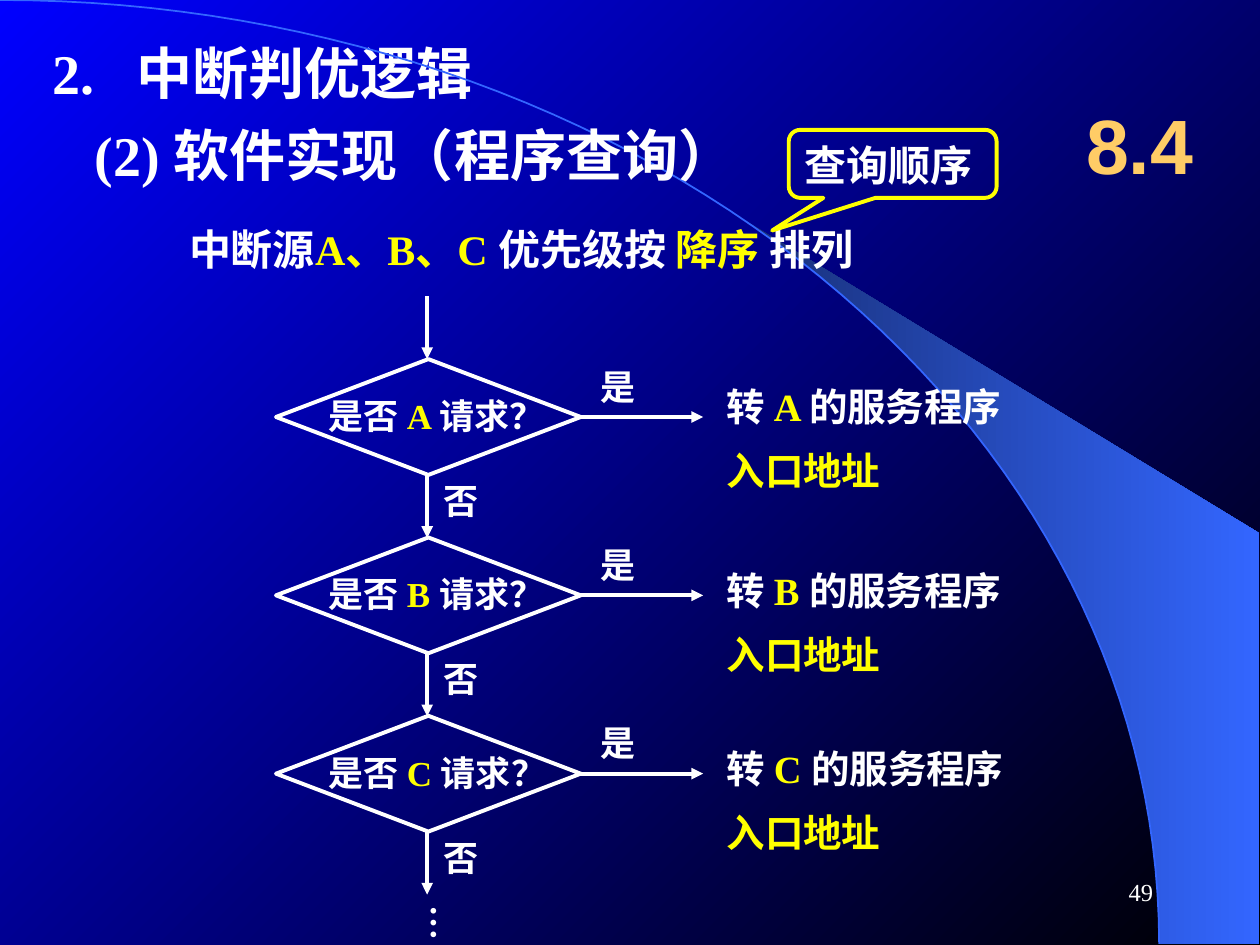
import math

import pptx
import pptx.dml.color
import pptx.enum.shapes
import pptx.enum.text
import pptx.oxml.ns
import pptx.util
from lxml import etree

Pt = pptx.util.Pt
RGBColor = pptx.dml.color.RGBColor
SHAPE = pptx.enum.shapes.MSO_SHAPE
ALIGN = pptx.enum.text.PP_ALIGN
ANCHOR = pptx.enum.text.MSO_ANCHOR
qn = pptx.oxml.ns.qn

WHITE = RGBColor(0xFF, 0xFF, 0xFF)
YELLOW = RGBColor(0xFF, 0xFF, 0x00)
GOLD = RGBColor(0xFF, 0xCC, 0x66)
BLUE = RGBColor(0x00, 0x00, 0xFF)
BLACK = RGBColor(0x00, 0x00, 0x00)
NAVY = RGBColor(0x18, 0x2F, 0x76)
SKY = RGBColor(0x33, 0x66, 0xFF)
SERIF = "Times New Roman"

# Content
TITLE = "2.\t中断判优逻辑"
SUBTITLE = "(2) 软件实现（程序查询）"
PRIORITY = [("中断源", WHITE), ("A、B、C ", YELLOW), ("优先级按 ", WHITE),
            ("降序 ", YELLOW), ("排列", WHITE)]
CALLOUT = "查询顺序"
SECTION = "8.4"
PAGE_NUMBER = "49"
SOURCES = [("A", 14.4), ("B", 17.5), ("C", 17.5)]  # name, drop of the service text
YES, NO, MORE = "是", "否", "…"
ENTRY = "入口地址"

# Flow chart grid, in points
DIAMOND_LEFT, DIAMOND_WIDTH, DIAMOND_HEIGHT = 157.7, 174.2, 66.2
FIRST_TOP, ROW_STEP, ARROW_DROP = 205.2, 101.9, 36
AXIS = 244.1
BRANCH_START, BRANCH_END = 329.8, 401.8
SERVICE_LEFT = 408.2
# The background arc is a quarter of an ellipse
ARC_WIDTH, ARC_HEIGHT = 662.4, 539.3
SLIDE_RIGHT, WEDGE_RIGHT_TOP, WEDGE_ANGLE = 719.3, 304.6, 39.7


def arc_points(start, steps=60):
    angles = [math.radians(start + (90 - start) * i / steps) for i in range(steps + 1)]
    return [(ARC_WIDTH * math.sin(a), ARC_HEIGHT * (1 - math.cos(a))) for a in angles]


def add_freeform(slide, points, close):
    points = [(Pt(x), Pt(y)) for x, y in points]
    builder = slide.shapes.build_freeform(*points[0], scale=1.0)
    builder.add_line_segments(points[1:], close=close)
    shape = builder.convert_to_shape()
    shape.shadow.inherit = False
    return shape


def set_gradient(fill, colors, angle):
    fill.gradient()
    fill.gradient_angle = angle
    for stop, position, color in zip(fill.gradient_stops, (0, 1), colors):
        stop.position = position
        stop.color.rgb = color


def write(shape, lines, size, bold=True, font=SERIF, insets=(7.2, 3.6, 7.2, 3.6),
          anchor=ANCHOR.TOP, align=ALIGN.LEFT, wrap=True, line_spacing=None,
          space_before=0, tab=None):
    """Each line is a list of (text, color) runs."""
    frame = shape.text_frame
    frame.auto_size = pptx.enum.text.MSO_AUTO_SIZE.NONE
    frame.word_wrap = wrap
    frame.vertical_anchor = anchor
    (frame.margin_left, frame.margin_top,
     frame.margin_right, frame.margin_bottom) = map(Pt, insets)
    for index, runs in enumerate(lines):
        paragraph = frame.add_paragraph() if index else frame.paragraphs[0]
        paragraph.alignment = align
        if line_spacing:
            paragraph.line_spacing = line_spacing
        if index:
            paragraph.space_before = Pt(space_before)
        if tab:
            tabs = etree.SubElement(paragraph._p.get_or_add_pPr(), qn("a:tabLst"))
            etree.SubElement(tabs, qn("a:tab"), pos=str(Pt(tab)), algn="l")
        paragraph.font.name = font
        paragraph.font.size = Pt(size)
        paragraph.font.bold = bold
        for text, color in runs:
            run = paragraph.add_run()
            run.text = text
            run.font.color.rgb = color


def add_text(slide, box, lines, size, **options):
    shape = slide.shapes.add_textbox(*map(Pt, box))
    write(shape, lines, size, **options)
    return shape


def add_outline(slide, kind, box, color):
    shape = slide.shapes.add_shape(kind, *map(Pt, box))
    shape.shadow.inherit = False
    shape.fill.background()
    shape.line.color.rgb = color
    shape.line.width = Pt(2.25)
    return shape


def add_arrow(slide, start, end):
    arrow = slide.shapes.add_connector(
        pptx.enum.shapes.MSO_CONNECTOR.STRAIGHT, *map(Pt, start + end))
    arrow.line.color.rgb = WHITE
    arrow.line.width = Pt(2.25)
    etree.SubElement(arrow.line._get_or_add_ln(), qn("a:tailEnd"), type="triangle")
    etree.SubElement(arrow._element.spPr, qn("a:effectLst"))


def add_background(slide):
    set_gradient(slide.background.fill, (BLUE, BLACK), 315)
    wedge = add_freeform(slide, arc_points(WEDGE_ANGLE) + [
        (SLIDE_RIGHT, ARC_HEIGHT), (SLIDE_RIGHT, WEDGE_RIGHT_TOP)], close=True)
    set_gradient(wedge.fill, (NAVY, SKY), 0)
    wedge.line.fill.background()
    arc = add_freeform(slide, arc_points(0), close=False)
    arc.fill.background()
    arc.line.color.rgb = SKY
    arc.line.width = Pt(1)


def add_headings(slide):
    heading = dict(insets=(0, 3.6, 0, 3.6), anchor=ANCHOR.MIDDLE, wrap=False)
    title = slide.shapes.title
    title.left, title.top, title.width, title.height = map(Pt, (30, 20.2, 306, 41.8))
    write(title, [[(TITLE, WHITE)]], 32, tab=48, **heading)
    add_text(slide, (54, 67, 414, 41.8), [[(SUBTITLE, WHITE)]], 32, **heading)
    add_text(slide, (108, 121, 414, 41.8), [PRIORITY], 24, **heading)
    add_text(slide, (606.2, 49, 90, 66.2), [[(SECTION, GOLD)]], 44, font="Arial",
             anchor=ANCHOR.MIDDLE, align=ALIGN.CENTER)
    callout = add_outline(slide, SHAPE.ROUNDED_RECTANGULAR_CALLOUT,
                          (450.7, 74.2, 118.8, 38.9), YELLOW)
    for index, value in enumerate((-0.58, 0.98, 0.17)):
        callout.adjustments[index] = value
    write(callout, [[(CALLOUT, WHITE)]], 24)
    add_text(slide, (516.2, 491.8, 149.8, 36), [[(PAGE_NUMBER, WHITE)]], 14, bold=False,
             anchor=ANCHOR.MIDDLE, align=ALIGN.RIGHT)


def add_flow_chart(slide):
    add_arrow(slide, (AXIS, FIRST_TOP - ARROW_DROP), (AXIS, FIRST_TOP))
    for row, (name, service_drop) in enumerate(SOURCES):
        top = FIRST_TOP + row * ROW_STEP
        middle, bottom = top + DIAMOND_HEIGHT / 2, top + DIAMOND_HEIGHT
        # Question
        add_outline(slide, SHAPE.DIAMOND,
                    (DIAMOND_LEFT, top, DIAMOND_WIDTH, DIAMOND_HEIGHT), WHITE)
        add_text(slide, (187.9, top + 20.2, 155, 28),
                 [[("是否 ", WHITE), (name + " ", YELLOW), ("请求？", WHITE)]], 20,
                 insets=(0, 0, 7.2, 3.6))
        # Yes branch
        add_arrow(slide, (BRANCH_START, middle), (BRANCH_END, middle))
        add_text(slide, (336.2, top, 48.2, 31.7), [[(YES, WHITE)]], 20)
        add_text(slide, (SERVICE_LEFT, top + service_drop, 275.8, 66.2),
                 [[("转 ", WHITE), (name + " ", YELLOW), ("的服务程序", WHITE)],
                  [(ENTRY, YELLOW)]], 22, line_spacing=0.85, space_before=13.8)
        # No branch
        add_arrow(slide, (AXIS, bottom), (AXIS, bottom + ARROW_DROP))
        add_text(slide, (246.2, bottom - 1, 48.2, 31.7), [[(NO, WHITE)]], 20)
    more = add_text(slide, (231.8, 510.5, 38.2, 27.4), [[(MORE, WHITE)]], 20,
                    insets=(3.6, 7.2, 3.6, 7.2), wrap=False)
    more.text_frame._txBody.bodyPr.set("vert", "eaVert")


def main():
    presentation = pptx.Presentation()
    presentation.slide_width, presentation.slide_height = Pt(720), Pt(540)
    slide = presentation.slides.add_slide(presentation.slide_layouts[5])
    add_background(slide)
    add_headings(slide)
    add_flow_chart(slide)
    presentation.save("out.pptx")


if __name__ == "__main__":
    main()
